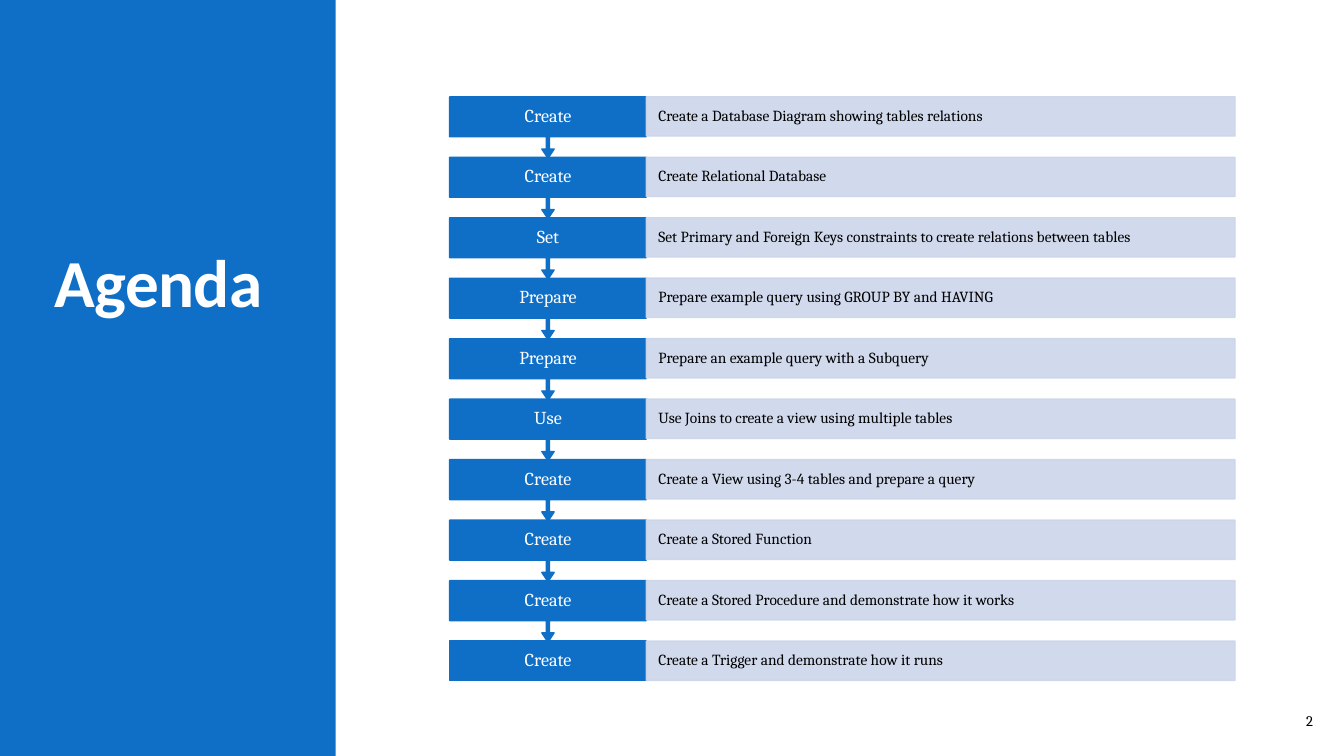
from lxml.etree import SubElement
from pptx import Presentation
from pptx.dml.color import RGBColor
from pptx.enum.shapes import MSO_SHAPE as Shape
from pptx.enum.text import MSO_ANCHOR as Anchor, PP_ALIGN as Align
from pptx.oxml.ns import qn
from pptx.util import Inches, Pt

BLUE, PALE, WHITE, BLACK = "0F6FC6", "CCD5EA", "FFFFFF", "000000"

STEPS = [
    ("Create", "Create a Database Diagram showing tables relations"),
    ("Create", "Create Relational Database"),
    ("Set", "Set Primary and Foreign Keys constraints to create relations between tables"),
    ("Prepare", "Prepare example query using GROUP BY and HAVING"),
    ("Prepare", "Prepare an example query with a Subquery"),
    ("Use", "Use Joins to create a view using multiple tables"),
    ("Create", "Create a View using 3-4 tables and prepare a query"),
    ("Create", "Create a Stored Function"),
    ("Create", "Create a Stored Procedure and demonstrate how it works"),
    ("Create", "Create a Trigger and demonstrate how it runs"),
]
STEP_TOP, STEP_PITCH = 0.96, 0.6
ROW_HEIGHT, CALLOUT_HEIGHT = 0.39, 0.61
VERB_LEFT, VERB_WIDTH = 4.46, 1.95
TASK_LEFT, TASK_WIDTH = 6.41, 5.84


def rgb(hex_string):
    return RGBColor.from_string(hex_string)


class AgendaSlide:
    def __init__(self, presentation):
        self.slide = presentation.slides.add_slide(presentation.slide_layouts[5])
        self.shapes = self.slide.shapes
        self.body_font, self.title_font = "Cambria", "Calibri"

    def add_line(self, holder, text, size, color, align=Align.LEFT, inset=0.1, spacing=0.9):
        """Put one vertically centred line of text into a shape."""
        frame = holder.text_frame
        frame.word_wrap = True
        frame.vertical_anchor = Anchor.MIDDLE
        frame.margin_left = frame.margin_right = Inches(inset)
        paragraph = frame.paragraphs[0]
        paragraph.alignment = align
        paragraph.line_spacing = spacing
        run = paragraph.add_run()
        run.text = text
        run.font.size = Pt(size)
        run.font.name = self.body_font
        run.font.color.rgb = rgb(color)
        return run

    def block(self, kind, left, top, width, height, color, opacity=100, outlined=True):
        block = self.shapes.add_shape(
            kind, Inches(left), Inches(top), Inches(width), Inches(height))
        block.shadow.inherit = False
        block.fill.solid()
        block.fill.fore_color.rgb = rgb(color)
        if outlined:
            block.line.color.rgb = rgb(color)
            block.line.width = Pt(1)
        else:
            block.line.fill.background()
        if opacity < 100:
            for tint in block.element.spPr.iter(qn("a:srgbClr")):
                SubElement(tint, qn("a:alpha")).set("val", str(opacity * 1000))
        return block

    def label(self, left, top, width, height, text, size, color, **style):
        box = self.shapes.add_textbox(
            Inches(left), Inches(top), Inches(width), Inches(height))
        self.add_line(box, text, size, color, **style)

    def title(self, text):
        """Fill the title placeholder and lay the blue side panel behind it."""
        title = self.shapes.title
        panel = self.block(Shape.RECTANGLE, 0, 0, 3.33, 7.5, BLUE, outlined=False)
        title.element.addprevious(panel.element)
        title.left, title.top = Inches(0.44), Inches(0.96)
        title.width, title.height = Inches(2.58), Inches(5.54)
        run = self.add_line(title, text, 48, WHITE)
        run.font.name = self.title_font
        run.font.bold = True
        for properties in title.element.iter(qn("a:rPr")):
            properties.set("spc", "-40")
        title.text_frame.vertical_anchor = Anchor.TOP
        title.text_frame.margin_top = Inches(1.51)

    def step(self, top, verb, task, is_last):
        if is_last:
            self.block(Shape.RECTANGLE, VERB_LEFT, top, VERB_WIDTH, ROW_HEIGHT, BLUE)
        else:
            callout = self.block(Shape.UP_ARROW_CALLOUT, VERB_LEFT, top,
                                 VERB_WIDTH, CALLOUT_HEIGHT, BLUE)
            callout.rotation = 180
            for index, value in enumerate((0.05, 0.1, 0.15, 0.65)):
                callout.adjustments[index] = value
        self.label(VERB_LEFT, top, VERB_WIDTH, ROW_HEIGHT, verb, 13, WHITE,
                   align=Align.CENTER, inset=0.14)
        bar = self.block(Shape.RECTANGLE, TASK_LEFT, top, TASK_WIDTH, ROW_HEIGHT,
                         PALE, opacity=90)
        self.add_line(bar, task, 11, BLACK, inset=0.12)


def main():
    presentation = Presentation()
    presentation.slide_width, presentation.slide_height = Inches(13.33), Inches(7.5)
    agenda = AgendaSlide(presentation)
    agenda.title("Agenda")
    agenda.label(12.43, 6.95, 0.69, 0.4, "2", 10.5, BLACK, align=Align.RIGHT, spacing=1.0)
    last = len(STEPS) - 1
    # Later steps go first, so each arrow tip lies over the step below it.
    for index, (verb, task) in reversed(list(enumerate(STEPS))):
        agenda.step(STEP_TOP + index * STEP_PITCH, verb, task, index == last)
    presentation.save("out.pptx")


if __name__ == "__main__":
    main()
